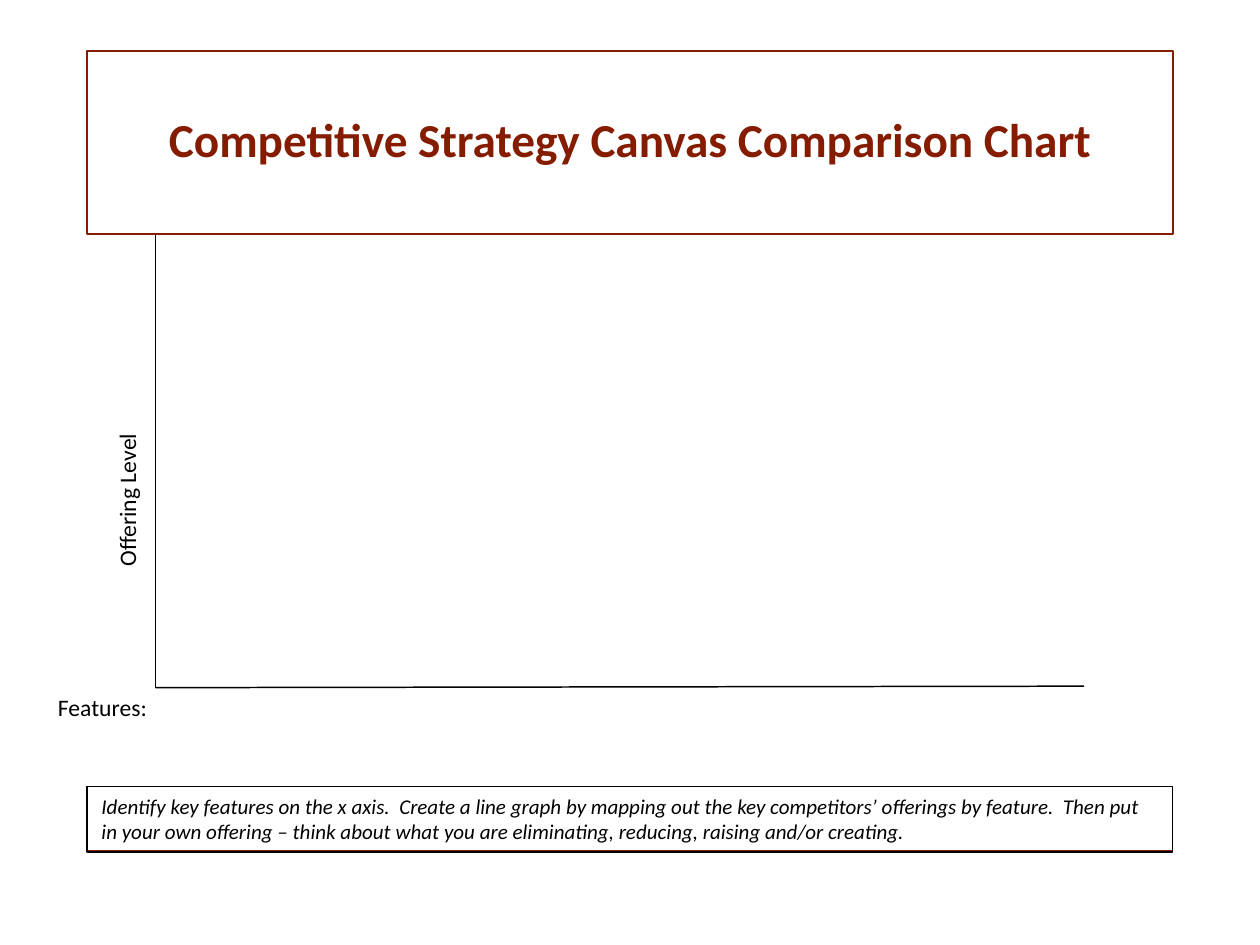
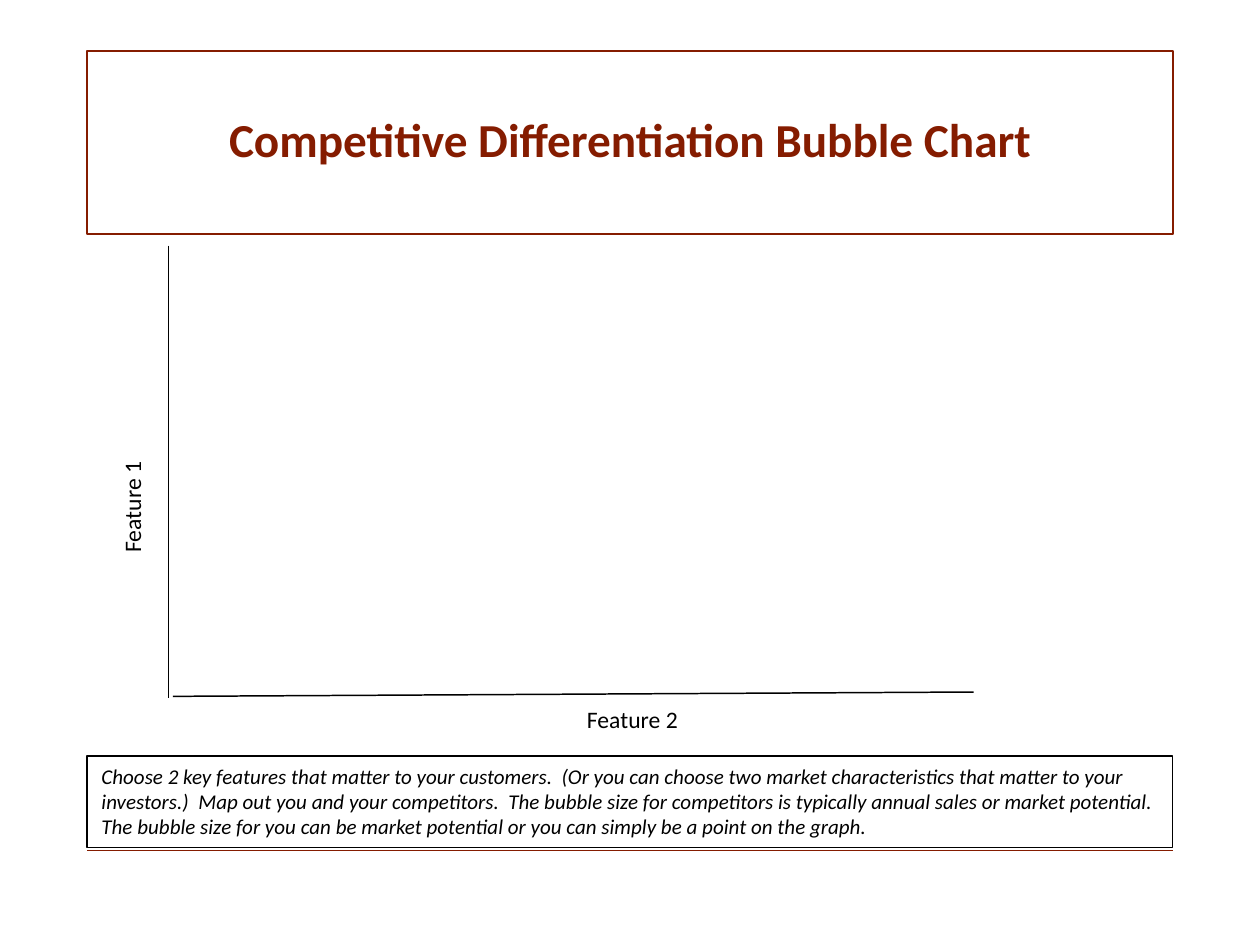
from pptx import Presentation
from pptx.dml.color import RGBColor
from pptx.enum.shapes import MSO_CONNECTOR, MSO_SHAPE
from pptx.enum.text import MSO_ANCHOR, PP_ALIGN
from pptx.oxml.ns import qn
from pptx.util import Inches, Pt
from lxml import etree

COLORS = {"brand": "851C00", "ink": "000000"}
FONT = "Calibri"
LEFT, WIDE = 0.6, 7.47
TITLE_TOP, TITLE_HIGH = 0.35, 1.26
RULE_Y = 5.85

# Axes are (x1, y1, x2, y2); labels are (text, left, top, width, turn).
SLIDES = [
    {
        "title": "Competitive Strategy Canvas Comparison Chart",
        "axes": [(1.07, 1.62, 1.07, 4.73), (1.07, 4.73, 7.46, 4.72)],
        "labels": [("Offering Level", 0.31, 3.28, 1.13, 270),
                   ("Features:", 0.3, 4.72, 0.83, 0)],
        "note": "Identify key features on the x axis.  Create a line graph by "
                "mapping out the key competitors’ offerings by feature.  Then "
                "put in your own offering – think about what you are "
                "eliminating, reducing, raising and/or creating.",
        "place": (5.41, 0.45),
    },
    {
        "title": "Competitive Differentiation Bubble Chart",
        "axes": [(1.16, 1.69, 1.16, 4.8), (1.19, 4.79, 6.7, 4.76)],
        "labels": [("Feature 1", 0.49, 3.33, 0.84, 270),
                   ("Feature 2", 3.94, 4.8, 0.84, 0)],
        "note": "Choose 2 key features that matter to your customers.  (Or you "
                "can choose two market characteristics that matter to your "
                "investors.)  Map out you and your competitors.  The bubble "
                "size for competitors is typically annual sales or market "
                "potential.  The bubble size for you can be market potential "
                "or you can simply be a point on the graph.",
        "place": (5.2, 0.63),
    },
]


def rgb(name):
    return RGBColor.from_string(COLORS[name])


def add_line(slide, ends, color="ink"):
    line = slide.shapes.add_connector(MSO_CONNECTOR.STRAIGHT, *map(Inches, ends))
    line.line.color.rgb = rgb(color)
    line.line.width = Pt(0.75)
    etree.SubElement(line._element.spPr, qn("a:effectLst"))


def add_frame(slide, top, high, color, width):
    """Add an unfilled, outlined box across the content width."""
    box = slide.shapes.add_shape(
        MSO_SHAPE.RECTANGLE, *map(Inches, (LEFT, top, WIDE, high)))
    box.shadow.inherit = False
    box.fill.background()
    box.line.color.rgb = rgb(color)
    box.line.width = Pt(width)
    return box


def write(box, text, size, color="ink", bold=False, italic=False,
          align=PP_ALIGN.LEFT, wrap=True):
    frame = box.text_frame
    frame.word_wrap = wrap
    para = frame.paragraphs[0]
    para.alignment = align
    run = para.add_run()
    run.text = text
    font = run.font
    font.name, font.size = FONT, Pt(size)
    font.bold, font.italic = bold, italic
    font.color.rgb = rgb(color)
    return para


def add_title(slide, text):
    box = add_frame(slide, TITLE_TOP, TITLE_HIGH, "brand", 1)
    box.text_frame.vertical_anchor = MSO_ANCHOR.MIDDLE
    para = write(box, text, 23.4, "brand", bold=True, align=PP_ALIGN.CENTER)
    para.line_spacing = 0.9


def add_label(slide, text, left, top, width, turn):
    box = slide.shapes.add_textbox(*map(Inches, (left, top, width, 0.3)))
    box.rotation = turn
    write(box, text, 11.7, wrap=False)


def add_note(slide, text, top, high):
    box = add_frame(slide, top, high, "ink", 0.75)
    box.text_frame.vertical_anchor = MSO_ANCHOR.TOP
    write(box, text, 10.4, italic=True)


def main():
    deck = Presentation()
    deck.slide_width, deck.slide_height = Inches(8.67), Inches(6.5)
    for data in SLIDES:
        slide = deck.slides.add_slide(deck.slide_layouts[6])
        add_line(slide, (LEFT, RULE_Y, LEFT + WIDE, RULE_Y), "brand")
        add_title(slide, data["title"])
        for ends in data["axes"]:
            add_line(slide, ends)
        for label in data["labels"]:
            add_label(slide, *label)
        add_note(slide, data["note"], *data["place"])
    deck.save("out.pptx")


if __name__ == "__main__":
    main()
